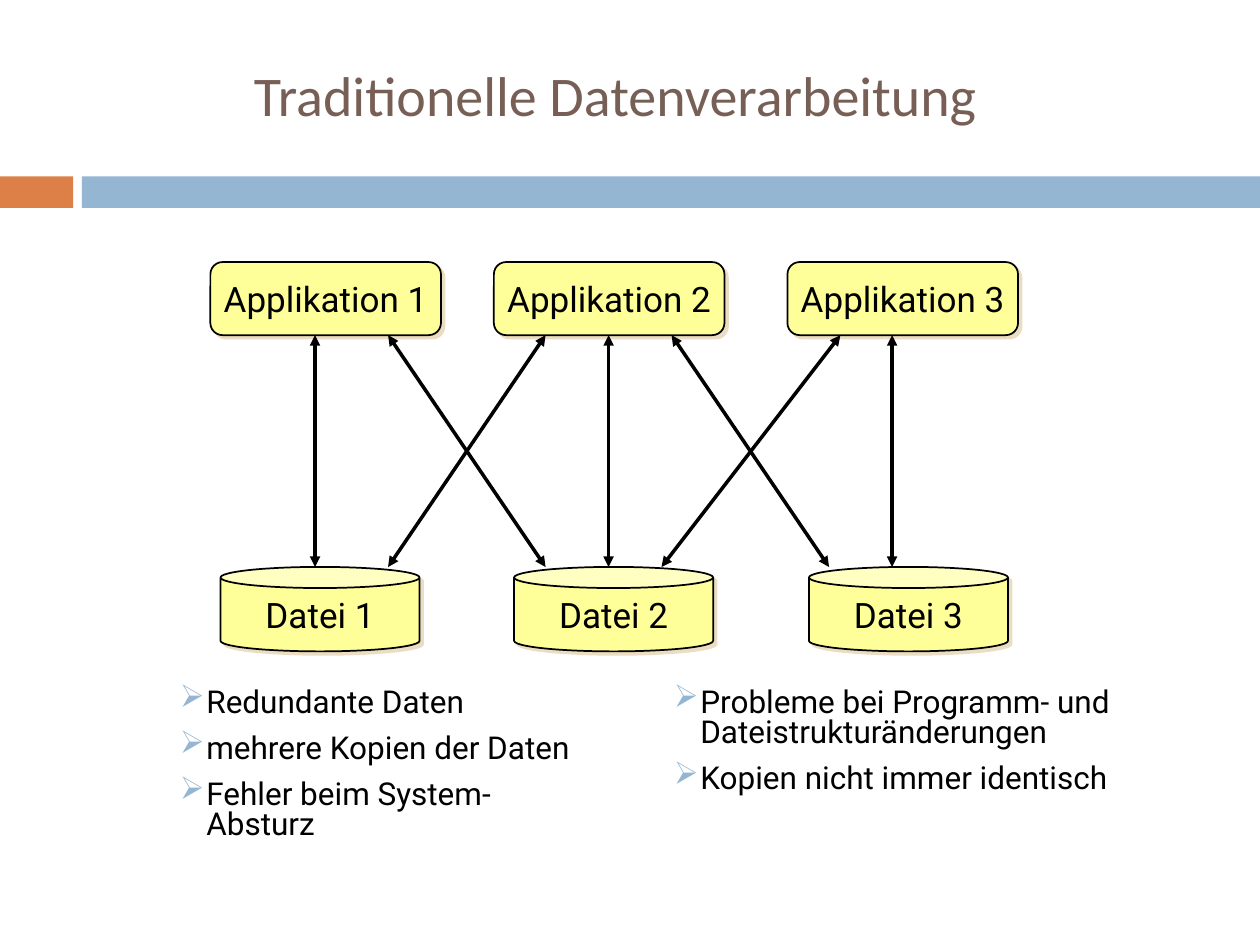
from lxml.etree import SubElement
from pptx import Presentation
from pptx.dml.color import RGBColor
from pptx.enum.shapes import MSO_CONNECTOR as Connector, MSO_SHAPE as Shape
from pptx.enum.text import MSO_ANCHOR as Anchor, MSO_AUTO_SIZE as AutoSize, PP_ALIGN as Align
from pptx.oxml.ns import qn
from pptx.util import Inches, Pt

BLACK = RGBColor(0x00, 0x00, 0x00)
BROWN = RGBColor(0x77, 0x5F, 0x55)
ORANGE = RGBColor(0xDD, 0x80, 0x47)
BLUE = RGBColor(0x94, 0xB6, 0xD2)
YELLOW = RGBColor(0xFF, 0xFF, 0x99)
SAND = RGBColor(0xEB, 0xDD, 0xC3)

APP_LEFTS = (0, 2.25, 4.58)
FILE_LEFTS = (0.08, 2.41, 4.75)
# Horizontal ends of each arrow: at the application, at the file
ARROWS = ((0.83, 0.83), (1.41, 2.66), (2.66, 1.41), (3.16, 3.16),
          (3.66, 4.91), (5, 3.58), (5.41, 5.41))
LEFT_POINTS = ("Redundante Daten", "mehrere Kopien der Daten", "Fehler beim System-Absturz")
RIGHT_POINTS = ("Probleme bei Programm- und Dateistrukturänderungen",
                "Kopien nicht immer identisch")


def add_span(para, text, size, color=BLACK, font="Roboto"):
    span = para.add_run()
    span.text = text
    span.font.name = font
    span.font.size = Pt(size)
    span.font.color.rgb = color


def add_title(page, left, top, width, height):
    title = page.shapes.title
    title.left, title.top = Inches(left), Inches(top)
    title.width, title.height = Inches(width), Inches(height)
    title.text_frame.vertical_anchor = Anchor.MIDDLE
    para = title.text_frame.paragraphs[0]
    para.alignment = Align.CENTER
    add_span(para, "Traditionelle Datenverarbeitung", 32, BROWN, "Calibri")


def add_band(page, left, top, width, height):
    """Divider made of a short orange and a long blue bar."""
    for start, length, color in ((0, 0.58, ORANGE), (0.65, width - 0.65, BLUE)):
        bar = page.shapes.add_shape(Shape.RECTANGLE, Inches(left + start), Inches(top),
                                    Inches(length), Inches(height))
        bar.shadow.inherit = False
        bar.fill.solid()
        bar.fill.fore_color.rgb = color
        bar.line.fill.background()


def add_node(page, kind, label, left, top, width, height):
    node = page.shapes.add_shape(kind, Inches(left), Inches(top), Inches(width), Inches(height))
    node.fill.solid()
    node.fill.fore_color.rgb = YELLOW
    node.line.color.rgb = BLACK
    node.line.width = Pt(1)
    node.shadow.inherit = False
    effects = node.element.spPr.find(qn("a:effectLst"))
    shadow = SubElement(effects, qn("a:outerShdw"), dist=str(Pt(2.8)), dir="2700000",
                        algn="ctr", rotWithShape="0")
    SubElement(shadow, qn("a:srgbClr"), val=str(SAND))
    frame = node.text_frame
    frame.word_wrap = False
    frame.vertical_anchor = Anchor.MIDDLE
    para = frame.paragraphs[0]
    para.alignment = Align.CENTER
    add_span(para, label, 20)


def add_double_arrow(page, x1, y1, x2, y2):
    arrow = page.shapes.add_connector(Connector.STRAIGHT, Inches(x1), Inches(y1),
                                      Inches(x2), Inches(y2))
    arrow.line.color.rgb = BLACK
    arrow.line.width = Pt(2)
    line = arrow.line._get_or_add_ln()
    for end in ("a:headEnd", "a:tailEnd"):
        SubElement(line, qn(end), type="triangle")
    SubElement(arrow._element.spPr, qn("a:effectLst"))


def add_diagram(page, left, top, height):
    """Applications above, files below, and the arrows between them."""
    app_height, file_height = 0.58, 0.67
    file_top = top + height - file_height
    for number, start in enumerate(APP_LEFTS, 1):
        add_node(page, Shape.ROUNDED_RECTANGLE, f"Applikation {number}",
                 left + start, top, 1.83, app_height)
    for number, start in enumerate(FILE_LEFTS, 1):
        add_node(page, Shape.CAN, f"Datei {number}", left + start, file_top, 1.58, file_height)
    for app_x, file_x in ARROWS:
        add_double_arrow(page, left + app_x, top + app_height, left + file_x, file_top)


def add_bullets(page, points, left, top, width, height):
    box = page.shapes.add_textbox(Inches(left), Inches(top), Inches(width), Inches(height))
    frame = box.text_frame
    frame.word_wrap = True
    frame.auto_size = AutoSize.SHAPE_TO_FIT_TEXT
    for index, point in enumerate(points):
        para = frame.add_paragraph() if index else frame.paragraphs[0]
        props = para._p.get_or_add_pPr()
        props.set("marL", str(Inches(0.21)))
        props.set("indent", str(Inches(-0.21)))
        SubElement(SubElement(props, qn("a:buClr")), qn("a:srgbClr"), val=str(BLUE))
        SubElement(props, qn("a:buChar"), char="➢")
        para.line_spacing = 0.8
        if index:
            para.space_before = Pt(9)
        add_span(para, point, 18)


def main():
    deck = Presentation()
    deck.slide_width, deck.slide_height = Inches(10), Inches(7.5)
    page = deck.slides.add_slide(deck.slide_layouts[5])
    add_band(page, 0, 1.4, 10, 0.25)
    add_title(page, 0.44, 0.25, 8.89, 1)
    add_diagram(page, 1.67, 2.08, 3.09)
    add_bullets(page, LEFT_POINTS, 1.33, 5.42, 3.5, 1.36)
    add_bullets(page, RIGHT_POINTS, 5.25, 5.42, 3.75, 0.97)
    deck.save("out.pptx")


if __name__ == "__main__":
    main()
